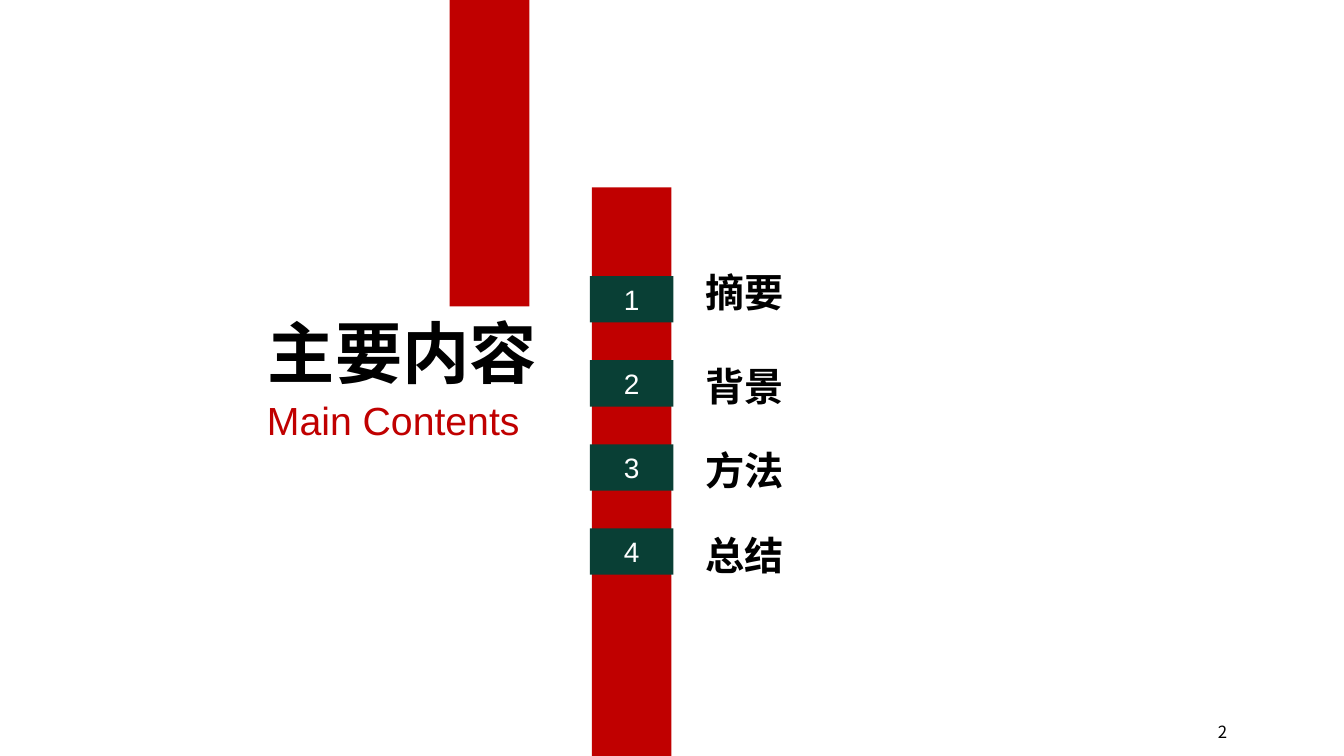
from dataclasses import dataclass

from lxml import etree
from pptx import Presentation
from pptx.dml.color import RGBColor
from pptx.enum.shapes import MSO_SHAPE
from pptx.enum.text import MSO_ANCHOR, PP_ALIGN
from pptx.oxml.ns import qn
from pptx.util import Inches, Pt

RECTANGLE = MSO_SHAPE.RECTANGLE
TOP, MIDDLE = MSO_ANCHOR.TOP, MSO_ANCHOR.MIDDLE
LEFT, CENTER, RIGHT = PP_ALIGN.LEFT, PP_ALIGN.CENTER, PP_ALIGN.RIGHT


@dataclass(frozen=True)
class Theme:
    red: RGBColor = RGBColor(0xC0, 0x00, 0x00)
    green: RGBColor = RGBColor(0x09, 0x3F, 0x35)
    black: RGBColor = RGBColor(0x00, 0x00, 0x00)
    white: RGBColor = RGBColor(0xFF, 0xFF, 0xFF)
    latin_font: str = "Arial"
    chinese_font: str = "Noto Sans CJK SC"
    title_size: int = 48
    heading_size: int = 28
    number_size: int = 20
    page_size: int = 12


theme = Theme()
presentation = Presentation()
presentation.slide_width = Inches(13.33)
presentation.slide_height = Inches(7.5)
slide = presentation.slides.add_slide(presentation.slide_layouts[6])


def add_block(left, top, width, height, color):
    shape = slide.shapes.add_shape(
        RECTANGLE, Inches(left), Inches(top), Inches(width), Inches(height))
    shape.shadow.inherit = False
    shape.fill.solid()
    shape.fill.fore_color.rgb = color
    shape.line.fill.background()
    return shape


def write(shape, text, size, font_name, color, bold=False, align=LEFT, anchor=TOP):
    """Fill the shape with one line of text, in one font for Latin and Chinese."""
    frame = shape.text_frame
    frame.word_wrap = True
    frame.vertical_anchor = anchor
    frame.text = text
    paragraph = frame.paragraphs[0]
    paragraph.alignment = align
    font = paragraph.runs[0].font
    font.size = Pt(size)
    font.bold = bold
    font.color.rgb = color
    font.name = font_name
    properties = paragraph.runs[0]._r.get_or_add_rPr()
    etree.SubElement(properties, qn("a:ea"), typeface=font_name)


# Red bars
add_block(4.46, 0, 0.79, 3.04, theme.red)
add_block(5.87, 1.86, 0.79, 5.64, theme.red)

# Title and subtitle
title = slide.shapes.add_textbox(Inches(2.44), Inches(3.04), Inches(3.1), Inches(0.91))
write(title, "主要内容", theme.title_size, theme.chinese_font, theme.black, True, CENTER)
subtitle = slide.shapes.add_textbox(Inches(1.85), Inches(3.88), Inches(3.4), Inches(0.57))
write(subtitle, "Main Contents", theme.heading_size, theme.latin_font, theme.red, align=RIGHT)

# Numbered sections
sections = [("摘要", 2.61), ("背景", 3.55), ("方法", 4.38), ("总结", 5.22)]
first_top, row_step = 2.74, 0.834
for index, (name, name_top) in enumerate(sections):
    number = add_block(5.85, first_top + index * row_step, 0.83, 0.46, theme.green)
    write(number, str(index + 1), theme.number_size, theme.latin_font, theme.white,
          align=CENTER, anchor=MIDDLE)
    label = slide.shapes.add_textbox(Inches(6.9), Inches(name_top), Inches(3.27), Inches(0.57))
    write(label, name, theme.heading_size, theme.chinese_font, theme.black, True)

# Page number
page = slide.shapes.add_textbox(Inches(9.27), Inches(7.06), Inches(3), Inches(0.4))
write(page, "2", theme.page_size, theme.chinese_font, theme.black, align=RIGHT, anchor=MIDDLE)

presentation.save("out.pptx")
